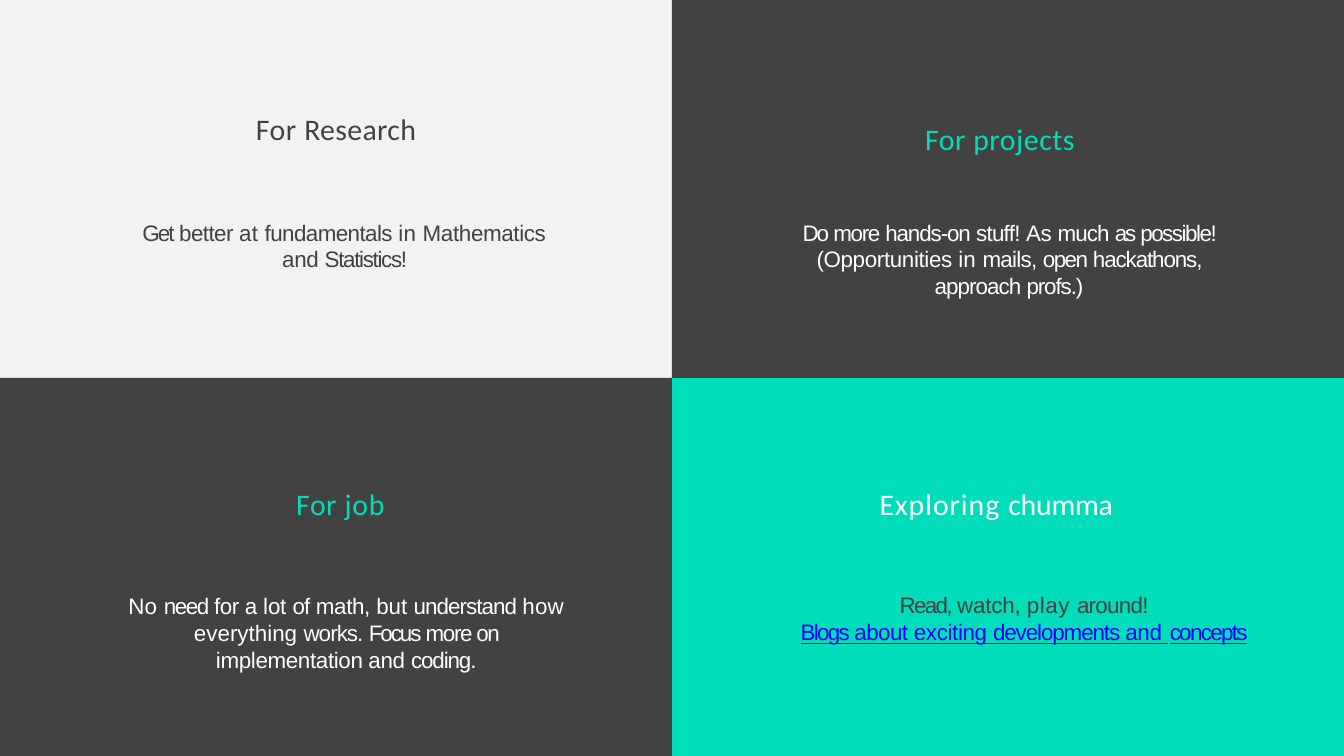
from pptx import Presentation
from pptx.dml.color import RGBColor
from pptx.enum.shapes import MSO_SHAPE as SHAPE
from pptx.enum.text import MSO_AUTO_SIZE as FIT, PP_ALIGN as ALIGN
from pptx.util import Pt

DARK, LIGHT, TEAL, WHITE, BLUE = "424242", "F2F2F2", "00DDBA", "FFFFFF", "0000FF"
W, H = 720, 405
MX, MY = W / 2, H / 2

prs = Presentation()
prs.slide_width, prs.slide_height = Pt(W), Pt(H)
s = prs.slides.add_slide(prs.slide_layouts[6])


def paint(sp, color):
    sp.shadow.inherit = False
    sp.fill.solid()
    sp.fill.fore_color.rgb = RGBColor.from_string(color)
    sp.line.fill.background()


def add_text(box, inset, paragraphs, font, size, before, leading=None,
             align=ALIGN.LEFT, indent=(0, 0)):
    """Each paragraph is (color, underline, [(text, letter spacing in pt), ...])."""
    sp = s.shapes.add_textbox(*map(Pt, box))
    tf = sp.text_frame
    tf.word_wrap, tf.auto_size = True, FIT.SHAPE_TO_FIT_TEXT
    tf.margin_left = tf.margin_right = tf.margin_bottom = 0
    tf.margin_top = Pt(inset)
    for i, (color, underline, runs) in enumerate(paragraphs):
        p = tf.add_paragraph() if i else tf.paragraphs[0]
        p.alignment = align
        p.space_before = Pt(0 if i else before)
        if leading:
            p.line_spacing = Pt(leading)
        pPr = p._p.get_or_add_pPr()
        pPr.set("marL", str(Pt(indent[0])))
        pPr.set("indent", str(Pt(indent[1])))
        for text, spacing in runs:
            r = p.add_run()
            r.text = text
            f = r.font
            f.name, f.size = font, Pt(size)
            f.color.rgb = RGBColor.from_string(color)
            if underline:
                f.underline = True
            r._r.get_or_add_rPr().set("spc", str(round(spacing * 100)))


# Light and teal quadrants
for x, y, color in [(0, 0, LIGHT), (MX, MY, TEAL)]:
    paint(s.shapes.add_shape(SHAPE.RECTANGLE, Pt(x), Pt(y), Pt(MX), Pt(MY)), color)

# Dark quadrants, one outline touching itself at the centre
outline = [(MX, 0), (MX, MY), (0, MY), (0, H), (MX, H), (MX, MY), (W, MY), (W, 0)]
fb = s.shapes.build_freeform(Pt(W), Pt(0))
fb.add_line_segments([(Pt(x), Pt(y)) for x, y in outline], close=True)
paint(fb.convert_to_shape(), DARK)

# Headings
headings = [
    ((136.1, 58.3, 97.9, 20.9), DARK, [("For ", 0.3), ("Research", 0.2)]),
    ((494.6, 63.4, 90.7, 20.9), TEAL, [("For projects", 0.3)]),
    ((157.7, 259.2, 54, 20.9), TEAL, [("For ", 0.3), ("job", 0.4)]),
    ((470.2, 259.2, 139.7, 20.9), WHITE, [("Exploring ", 0.5), ("chumma", -0.1)]),
]
for box, color, runs in headings:
    add_text(box, 1, [(color, False, runs)], "Calibri", 16, 1, indent=(1, 0))

# Body texts: box, top inset, leading, space before, alignment, indent, paragraphs
bodies = [
    ((75.6, 115.9, 218.9, 31), 1.6, 14.2, 1.6, ALIGN.LEFT, (75.6, -74.9), [
        (DARK, False, [
            ("Get ", -1), ("better ", -0.3), ("at ", 0.1), ("fundamentals ", -0.3),
            ("in ", 0.1), ("Mathematics and ", -0.2), ("Statistics!", -0.7)])]),
    ((427, 115.9, 226.1, 44.6), 1.6, 14.2, 1.6, ALIGN.CENTER, (1, 0), [
        (WHITE, False, [
            ("Do ", -1.1), ("more ", -0.7), ("hands-on ", -0.6), ("stuff! ", -0.4),
            ("As ", -0.2), ("much ", -0.5), ("as ", -1.2), ("possible! ", -0.8),
            ("(Opportunities ", -0.2), ("in ", 0.1), ("mails, ", -0.4),
            ("open ", -0.8), ("hackathons, ", -0.6), ("approach ", -0.5),
            ("profs.)", -0.6)])]),
    ((65.5, 316.1, 239, 44.6), 1.6, 14.2, 1.6, ALIGN.CENTER, (1, 0), [
        (WHITE, False, [
            ("No ", 0.1), ("need ", -0.8), ("for a ", -0.2), ("lot ", -0.1),
            ("of ", -0.4), ("math, ", -0.2), ("but ", 0), ("understand ", -0.5),
            ("how ", 0.1), ("everything ", 0), ("works. ", -0.5), ("Focus ", -1.1),
            ("more on ", -0.7), ("implementation and ", -0.2), ("coding.", -0.6)])]),
    ((427.7, 316.1, 241.9, 31), 1, 14.3, 1, ALIGN.CENTER, (0, 0), [
        (DARK, False, [
            ("Read, ", -0.9), ("watch, ", -0.1), ("play ", 0.3), ("around!", -0.4)]),
        (BLUE, True, [
            ("Blogs ", -0.9), ("about ", -0.3), ("exciting ", -0.2),
            ("developments ", -0.6), ("and", -0.2), (" ", 0.8), ("concepts", -0.9)])]),
]
for box, inset, leading, before, align, indent, paragraphs in bodies:
    add_text(box, inset, paragraphs, "Arial", 12, before, leading, align, indent)

prs.save("out.pptx")
